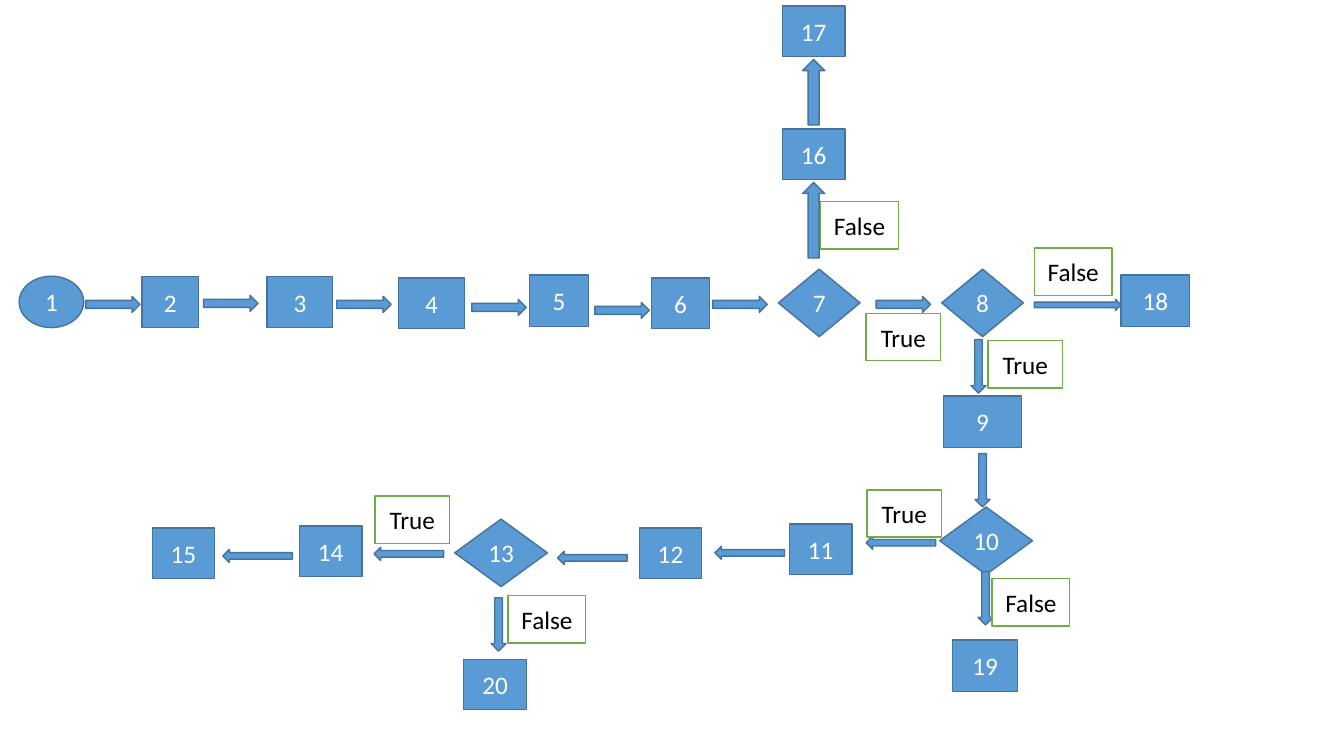
from pptx import Presentation
from pptx.dml.color import RGBColor
from pptx.enum.shapes import MSO_SHAPE as Shape
from pptx.enum.text import MSO_ANCHOR as Anchor, PP_ALIGN as Align
from pptx.util import Inches, Pt

BLUE = RGBColor(0x5B, 0x9B, 0xD5)
DARK_BLUE = RGBColor(0x43, 0x73, 0x9E)
GREEN = RGBColor(0x70, 0xAD, 0x47)
WHITE = RGBColor(0xFF, 0xFF, 0xFF)
BLACK = RGBColor(0x00, 0x00, 0x00)

CELL = Inches(0.1)
BOX = (6.2, 5)
SMALL_DIAMOND = (8.1, 6.7)
LARGE_DIAMOND = (9.2, 6.7)
RIGHT = (5.4, 1.6)
LEFT = (6.9, 1.3)
DOWN = (1.5, 5.3)
LABEL_SIZES = {"True": (7.4, 4.7), "False": (7.7, 4.7)}

# Each step: number, (column, row), (columns wide, rows high)
PROCESSES = [
    (2, (14.1, 27.4), (5.6, 5.1)),
    (3, (26.5, 27.4), (6.5, 5.1)),
    (4, (39.5, 27.6), (6.6, 5)),
    (5, (52.5, 27.3), (5.9, 5.1)),
    (6, (64.6, 27.6), (5.8, 5)),
    (9, (93.6, 39.3), (7.7, 5.1)),
    (11, (78.3, 52), BOX),
    (12, (63.4, 52.4), BOX),
    (14, (29.7, 52.2), BOX),
    (15, (15.1, 52.4), BOX),
    (16, (77.6, 12.8), BOX),
    (17, (77.6, 0.6), BOX),
    (18, (111.2, 27.3), (6.8, 5.1)),
    (19, (94.5, 63.5), (6.4, 5.1)),
    (20, (46, 65.4), BOX),
]
DECISIONS = [
    (7, (77.2, 26.7), SMALL_DIAMOND),
    (8, (93.4, 26.7), SMALL_DIAMOND),
    (10, (93.2, 50.3), LARGE_DIAMOND),
    (13, (45.1, 51.5), LARGE_DIAMOND),
]

# Each group of arrows: direction, size, places
ARROWS = [
    (Shape.RIGHT_ARROW, RIGHT, [(8.5, 29.4), (20.2, 29.3), (33.4, 29.4), (46.8, 29.7),
                                (59, 30), (70.7, 29.4), (86.9, 29.4)]),
    (Shape.RIGHT_ARROW, (8.6, 1.1), [(102.6, 29.7)]),
    (Shape.DOWN_ARROW, DOWN, [(96.3, 33.7), (96.7, 45), (97, 56.7), (48.7, 59.3)]),
    (Shape.LEFT_ARROW, LEFT, [(85.9, 53.2), (70.9, 54.2), (55.3, 54.7),
                              (37.1, 54.3), (22.1, 54.5)]),
    (Shape.UP_ARROW, (2.2, 6.5), [(79.6, 5.9)]),
    (Shape.UP_ARROW, (2.2, 7.5), [(79.6, 18.1)]),
]
BRANCHES = {
    "True": [(85.9, 31.1), (98, 33.8), (86, 48.6), (37.2, 49.2)],
    "False": [(81.4, 20), (102.6, 24.6), (98.4, 57.4), (50.4, 59.1)],
}


class FlowChart:
    """Draws flow chart parts on a slide, placed in grid columns and rows."""

    font_name = "Calibri"
    font_size = Pt(18)
    line_width = Pt(1)

    def __init__(self, slide):
        self.slide = slide

    def block(self, outline, place, size, fill=BLUE, line=DARK_BLUE):
        lengths = [round(cells * CELL) for cells in (*place, *size)]
        block = self.slide.shapes.add_shape(outline, *lengths)
        block.shadow.inherit = False
        block.fill.solid()
        block.fill.fore_color.rgb = fill
        block.line.color.rgb = line
        block.line.width = self.line_width
        return block

    def caption(self, block, wording, color):
        frame = block.text_frame
        frame.word_wrap = True
        frame.vertical_anchor = Anchor.MIDDLE
        paragraph = frame.paragraphs[0]
        paragraph.text = wording
        paragraph.alignment = Align.CENTER
        paragraph.font.name = self.font_name
        paragraph.font.size = self.font_size
        paragraph.font.color.rgb = color

    def step(self, outline, number, place, size):
        self.caption(self.block(outline, place, size), str(number), WHITE)

    def arrow(self, direction, place, size):
        self.block(direction, place, size)

    def branch_label(self, outcome, place):
        label = self.block(Shape.RECTANGLE, place, LABEL_SIZES[outcome], WHITE, GREEN)
        self.caption(label, outcome, BLACK)


def main():
    deck = Presentation()
    deck.slide_width, deck.slide_height = Inches(13.33), Inches(7.5)
    chart = FlowChart(deck.slides.add_slide(deck.slide_layouts[6]))

    chart.step(Shape.OVAL, 1, (1.9, 27.4), (6.4, 5.1))
    for process in PROCESSES:
        chart.step(Shape.RECTANGLE, *process)
    for decision in DECISIONS:
        chart.step(Shape.DIAMOND, *decision)
    for direction, size, places in ARROWS:
        for place in places:
            chart.arrow(direction, place, size)
    for outcome, places in BRANCHES.items():
        for place in places:
            chart.branch_label(outcome, place)

    deck.save("out.pptx")


if __name__ == "__main__":
    main()
